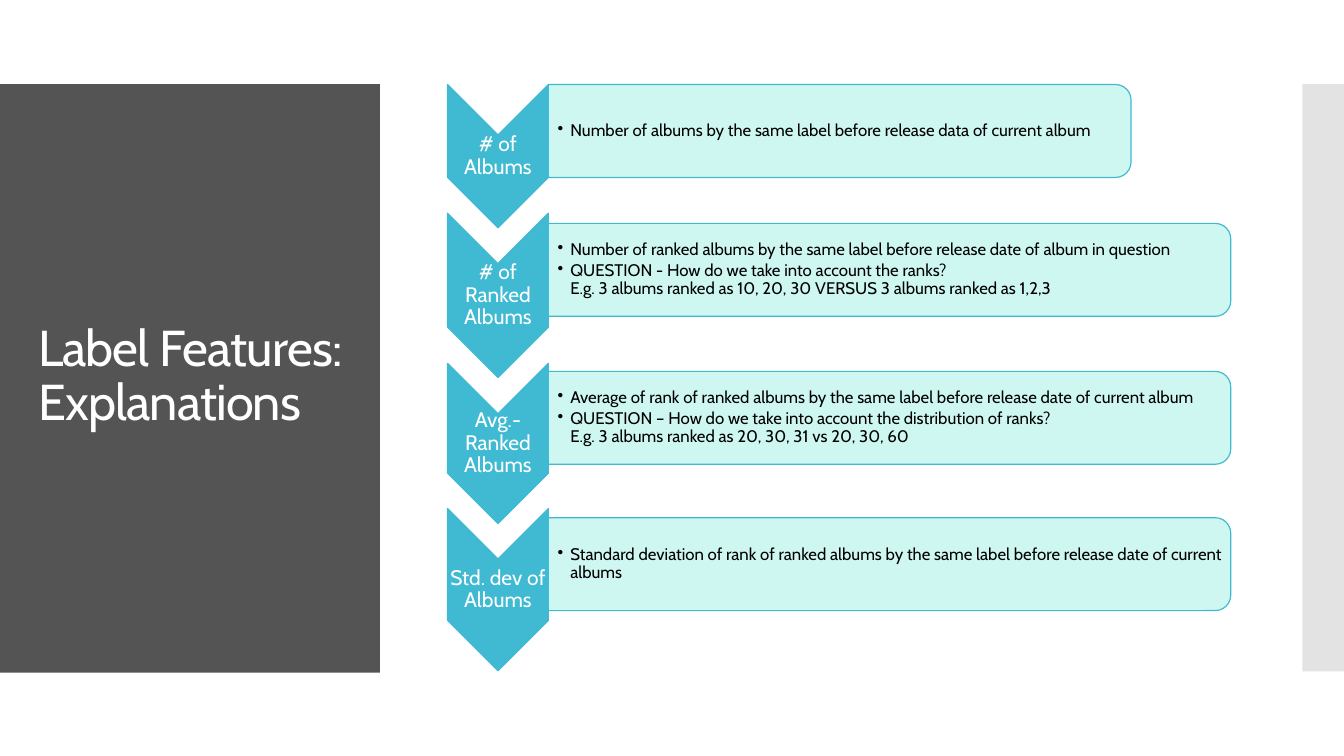
from lxml.etree import SubElement
from pptx import Presentation
from pptx.dml.color import RGBColor
from pptx.enum.shapes import MSO_SHAPE
from pptx.enum.text import MSO_ANCHOR, MSO_AUTO_SIZE, PP_ALIGN
from pptx.oxml.ns import qn
from pptx.util import Pt

ACCENT, CARD, DARK, BAND = "40BAD2", "CAF7F1", "545454", "C8C8C8"
WHITE, BLACK = "FFFFFF", "000000"
CHEVRON_LEFT, CHEVRON_WIDTH = 319.7, 72
CARD_LEFT, CARD_HEIGHT, CARD_INSET = 391.7, 66.4, 3.2

FEATURES = [
    ("# of Albums", 60.4, 102.3, 60.4, 416.2,
     ["Number of albums by the same label before release data of current album"]),
    ("# of Ranked Albums", 152.3, 117.4, 159.6, 487.4,
     ["Number of ranked albums by the same label before release date of album in question",
      "QUESTION - How do we take into account the ranks?\n"
      "E.g. 3 albums ranked as 10, 20, 30 VERSUS 3 albums ranked as 1,2,3"]),
    ("Avg.-Ranked Albums", 259.5, 114.5, 265.3, 487.4,
     ["Average of rank of ranked albums by the same label before release date of current album",
      "QUESTION – How do we take into account the distribution of ranks?\n"
      "E.g. 3 albums ranked as 20, 30, 31 vs 20, 30, 60"]),
    ("Std. dev of Albums", 363.2, 115.9, 369.8, 487.4,
     ["Standard deviation of rank of ranked albums by the same label "
      "before release date of current albums"]),
]


def color(value):
    return RGBColor.from_string(value)


def assign(target, values):
    for name, value in values.items():
        setattr(target, name, value)


class SlideBuilder:
    """Draws styled elements on the current slide, with lengths in points."""

    def __init__(self, page, font):
        self.page = page
        self.font = font

    def shape(self, kind, left, top, width, height, fill, alpha=100, line=None, turned=False):
        if turned:
            left, top = left + (width - height) / 2, top + (height - width) / 2
            width, height = height, width
        shape = self.page.shapes.add_shape(kind, Pt(left), Pt(top), Pt(width), Pt(height))
        shape.rotation = 90 if turned else 0
        shape.shadow.inherit = False
        shape.fill.solid()
        shape.fill.fore_color.rgb = color(fill)
        if alpha < 100:
            tint = shape.element.spPr.find(qn("a:solidFill"))[0]
            SubElement(tint, qn("a:alpha"), val=str(alpha * 1000))
        if line:
            shape.line.color.rgb = color(line)
            shape.line.width = Pt(0.85)
        else:
            shape.line.fill.background()

    def set_text(self, frame, texts, size, fill, insets, align=PP_ALIGN.LEFT, after=0, bullet=None):
        left, top, right, bottom = map(Pt, insets)
        assign(frame, {"word_wrap": True, "auto_size": MSO_AUTO_SIZE.NONE,
                       "vertical_anchor": MSO_ANCHOR.MIDDLE,
                       "margin_left": left, "margin_top": top,
                       "margin_right": right, "margin_bottom": bottom})
        for index, text in enumerate(texts):
            para = frame.add_paragraph() if index else frame.paragraphs[0]
            para.text = text
            assign(para, {"alignment": align, "line_spacing": 0.9,
                          "space_before": Pt(0), "space_after": Pt(after)})
            if bullet:
                properties = para._p.get_or_add_pPr()
                properties.set("marL", str(Pt(9)))
                properties.set("indent", str(Pt(-9)))
                SubElement(properties, qn("a:buChar"), char=bullet)
            for span in para.runs:
                assign(span.font, {"name": self.font, "size": Pt(size)})
                span.font.color.rgb = color(fill)

    def text(self, left, top, width, height, texts, size, fill, insets, **style):
        box = self.page.shapes.add_textbox(Pt(left), Pt(top), Pt(width), Pt(height))
        self.set_text(box.text_frame, texts, size, fill, insets, **style)

    def title(self, left, top, width, height, text):
        title = self.page.shapes.title
        assign(title, {"left": Pt(left), "top": Pt(top),
                       "width": Pt(width), "height": Pt(height)})
        self.set_text(title.text_frame, [text], 36, WHITE, (7.2, 3.6, 7.2, 3.6))
        for span in title.text_frame.paragraphs[0].runs:
            span._r.get_or_add_rPr().set("spc", "-60")
        title.element.getparent().append(title.element)

    def feature(self, label, top, height, card_top, card_width, notes):
        self.shape(MSO_SHAPE.CHEVRON, CHEVRON_LEFT, top, CHEVRON_WIDTH, height,
                   ACCENT, line=ACCENT, turned=True)
        self.text(CHEVRON_LEFT, top + CHEVRON_WIDTH / 2, CHEVRON_WIDTH, height - CHEVRON_WIDTH,
                  [label], 15, WHITE, (0.75,) * 4, align=PP_ALIGN.CENTER, after=5.25)
        self.shape(MSO_SHAPE.ROUND_2_SAME_RECTANGLE, CARD_LEFT, card_top, card_width, CARD_HEIGHT,
                   CARD, alpha=90, line=ACCENT, turned=True)
        self.text(CARD_LEFT, card_top + CARD_INSET, card_width - CARD_INSET,
                  CARD_HEIGHT - 2 * CARD_INSET, notes, 12, BLACK,
                  (6.72, 0.6, 0.6, 0.6), after=1.8, bullet="•")


def main():
    deck = Presentation()
    assign(deck, {"slide_width": Pt(960), "slide_height": Pt(540)})
    builder = SlideBuilder(deck.slides.add_slide(deck.slide_layouts[5]), "Cabin")
    builder.shape(MSO_SHAPE.RECTANGLE, 0, 60, 271.3, 420.4, DARK)
    builder.shape(MSO_SHAPE.RECTANGLE, 930.2, 60, 29.8, 419.5, BAND, alpha=50)
    builder.title(20, 88.6, 232, 362, "Label Features: Explanations")
    for feature in FEATURES:
        builder.feature(*feature)
    deck.save("out.pptx")


if __name__ == "__main__":
    main()
